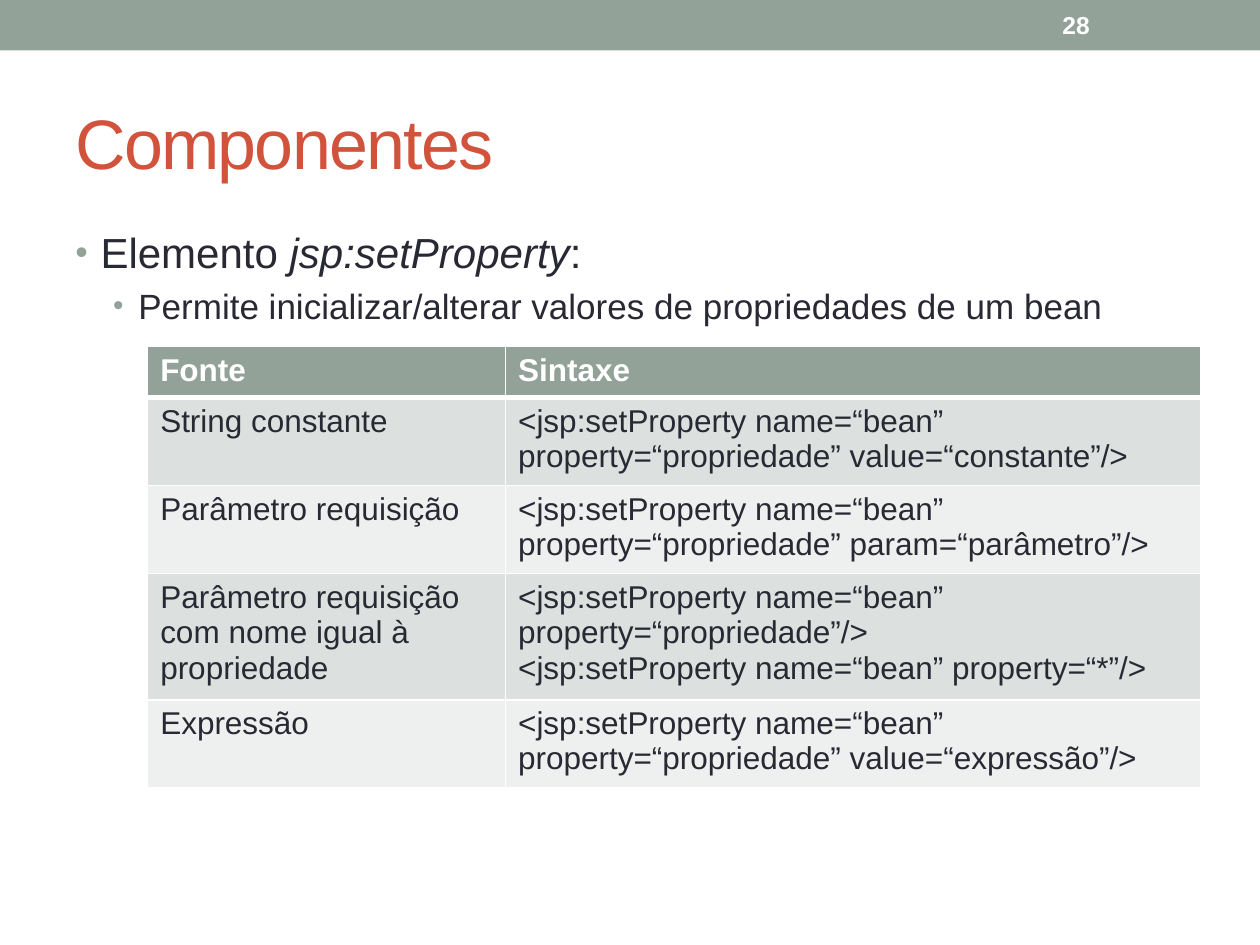
from lxml import etree
from pptx import Presentation
from pptx.dml.color import RGBColor
from pptx.enum.shapes import MSO_SHAPE
from pptx.enum.text import MSO_ANCHOR
from pptx.oxml.ns import qn
from pptx.util import Pt

RECTANGLE = MSO_SHAPE.RECTANGLE
TOP, MIDDLE = MSO_ANCHOR.TOP, MSO_ANCHOR.MIDDLE

SAGE = RGBColor(0x93, 0xA2, 0x99)
RED = RGBColor(0xD2, 0x53, 0x3C)
INK = RGBColor(0x29, 0x29, 0x34)
WHITE = RGBColor(0xFF, 0xFF, 0xFF)
BANDS = (RGBColor(0xDC, 0xE0, 0xDE), RGBColor(0xEE, 0xF0, 0xEF))

FONT = "Arial"
INDENT = 14.4
COLUMN_WIDTHS = (204.5, 397.5)
ROW_HEIGHTS = (29.2, 50.4, 50.4, 72, 50.4)
TABLE_ROWS = (
    ("Fonte", "Sintaxe"),
    ("String constante",
     "<jsp:setProperty name=“bean” property=“propriedade” value=“constante”/>"),
    ("Parâmetro requisição",
     "<jsp:setProperty name=“bean” property=“propriedade” param=“parâmetro”/>"),
    ("Parâmetro requisição com nome igual à propriedade",
     "<jsp:setProperty name=“bean” property=“propriedade”/>\n"
     "<jsp:setProperty name=“bean” property=“*”/>"),
    ("Expressão",
     "<jsp:setProperty name=“bean” property=“propriedade” value=“expressão”/>"),
)


def add_xml(parent, tag, **attributes):
    """Append a DrawingML child element and return it."""
    return etree.SubElement(parent, qn(tag), attributes)


def style_frame(frame, size, color, bold=False):
    """Format every run of a text frame."""
    for para in frame.paragraphs:
        for span in para.runs:
            span.font.name = FONT
            span.font.size = Pt(size)
            span.font.color.rgb = color
            span.font.bold = bold


def add_text(page, box, text, size, color, bold=False, anchor=MIDDLE):
    """Add a wrapped text box and return its text frame."""
    frame = page.shapes.add_textbox(*map(Pt, box)).text_frame
    frame.word_wrap = True
    frame.vertical_anchor = anchor
    frame.text = text
    style_frame(frame, size, color, bold)
    return frame


def add_header(page, box):
    """Draw the top band with the page number near its right end."""
    left, top, width, height = box
    band = page.shapes.add_shape(RECTANGLE, *map(Pt, box))
    band.shadow.inherit = False
    band.fill.solid()
    band.fill.fore_color.rgb = SAGE
    band.line.fill.background()
    number_box = (left + width - 120, top + 1.4, 84, height - 2.8)
    add_text(page, number_box, "28", 14, WHITE, bold=True)


def add_title(page, box):
    """Add the slide title with tightened letter spacing."""
    frame = add_text(page, box, "Componentes", 40, RED)
    frame.paragraphs[0].runs[0].font._element.set("spc", "-100")


def format_bullet(para, margin, size):
    """Give a paragraph a hanging bullet and its spacing."""
    para.space_before = Pt(size * 0.2)
    props = para._p.get_or_add_pPr()
    props.set("marL", str(Pt(margin)))
    props.set("indent", str(-Pt(INDENT)))
    add_xml(add_xml(props, "a:buClr"), "a:srgbClr", val=str(SAGE))
    add_xml(props, "a:buSzPct", val="85000")
    add_xml(props, "a:buFont", typeface=FONT)
    add_xml(props, "a:buChar", char="•")


def add_body(page, box):
    """Add the two levels of bullet text."""
    frame = add_text(page, box, "", 24, INK, anchor=TOP)
    levels = (
        (("Elemento ", "jsp:setProperty", ":"), INDENT, 24),
        (("Permite inicializar/alterar valores de propriedades de um bean",), 36, 20),
    )
    for level, (texts, margin, size) in enumerate(levels):
        para = frame.add_paragraph() if level else frame.paragraphs[0]
        para.level = level
        for text in texts:
            span = para.add_run()
            span.text = text
            span.font.name = FONT
            span.font.size = Pt(size)
            span.font.color.rgb = INK
            span.font.italic = text == "jsp:setProperty"
        format_bullet(para, margin, size)


def set_borders(cell, top, bottom):
    """Give a cell white borders, one point wide at the sides."""
    props = cell._tc.get_or_add_tcPr()
    sides = (("a:lnL", 1), ("a:lnR", 1), ("a:lnT", top), ("a:lnB", bottom))
    for index, (tag, width) in enumerate(sides):
        line = add_xml(props, tag, w=str(Pt(width)))
        add_xml(add_xml(line, "a:solidFill"), "a:srgbClr", val=str(WHITE))
        props.insert(index, line)


def add_syntax_table(page, box):
    """Add the table of value sources and their syntax."""
    table = page.shapes.add_table(
        len(TABLE_ROWS), len(COLUMN_WIDTHS), *map(Pt, box)).table
    for column, width in zip(table.columns, COLUMN_WIDTHS):
        column.width = Pt(width)
    for index, (row, height) in enumerate(zip(table.rows, ROW_HEIGHTS)):
        row.height = Pt(height)
        heading = index == 0
        for cell, text in zip(row.cells, TABLE_ROWS[index]):
            cell.text_frame.text = text
            style_frame(cell.text_frame, 18, WHITE if heading else INK, heading)
            cell.fill.solid()
            cell.fill.fore_color.rgb = SAGE if heading else BANDS[(index - 1) % 2]
            set_borders(cell, 3 if index == 1 else 1, 3 if heading else 1)


def build_deck():
    """Build the one-page deck and save it."""
    deck = Presentation()
    deck.slide_width, deck.slide_height = Pt(720), Pt(540)
    page = deck.slides.add_slide(deck.slide_layouts[6])
    add_header(page, (0, 0, 720, 28.8))
    add_title(page, (36, 42, 648, 78))
    add_body(page, (36, 126, 648, 384))
    add_syntax_table(page, (84.4, 197.8, sum(COLUMN_WIDTHS), sum(ROW_HEIGHTS)))
    deck.save("out.pptx")


build_deck()
